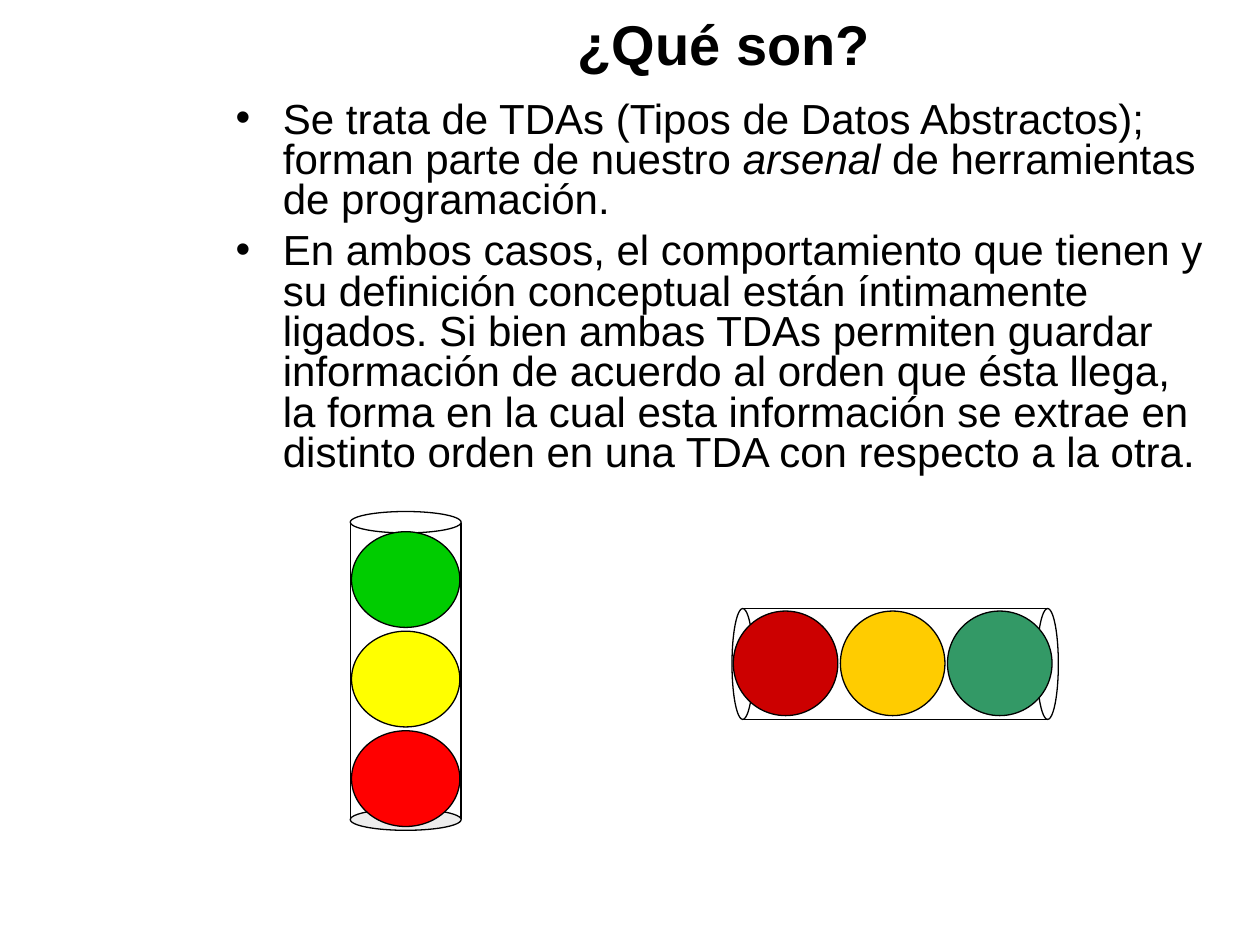
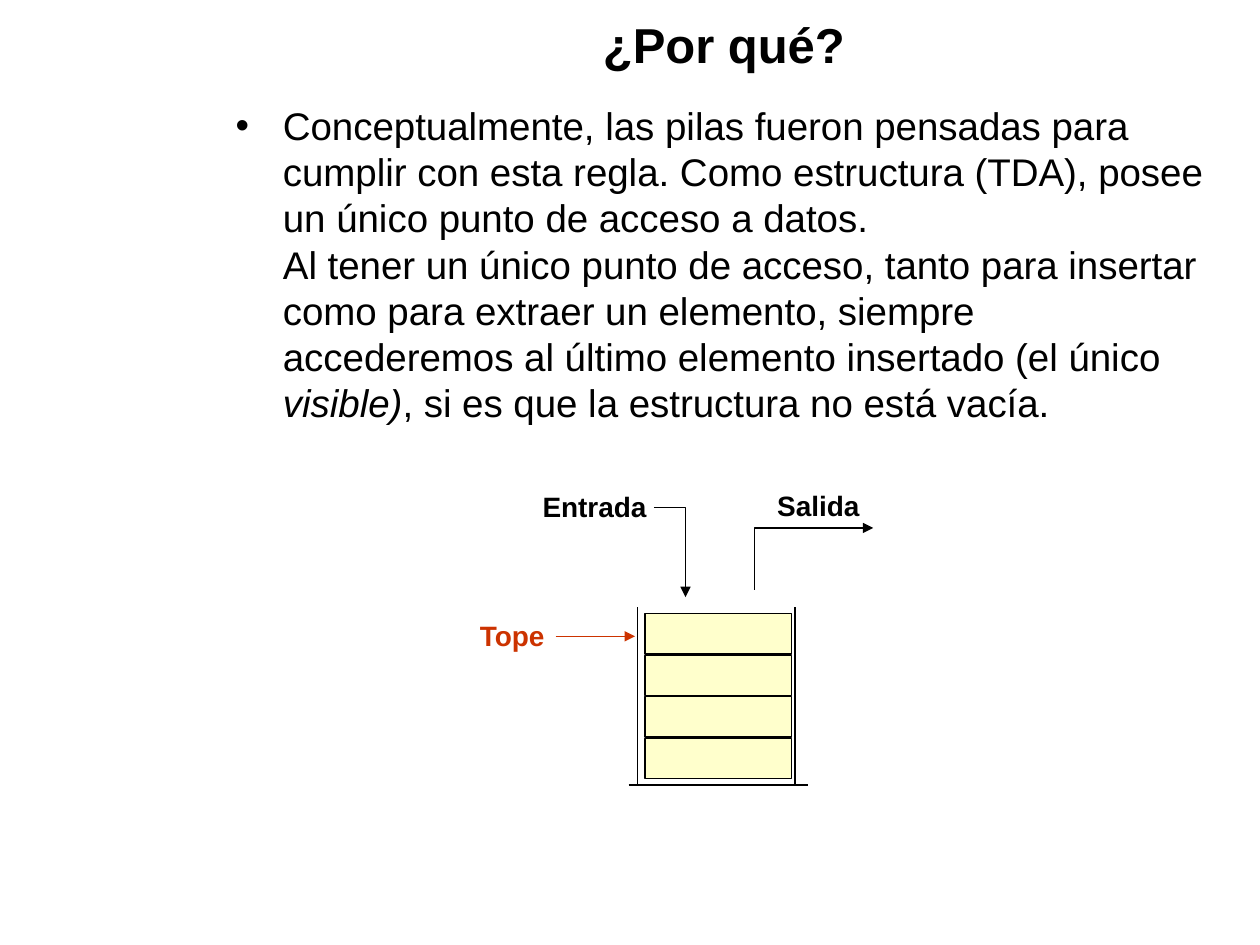
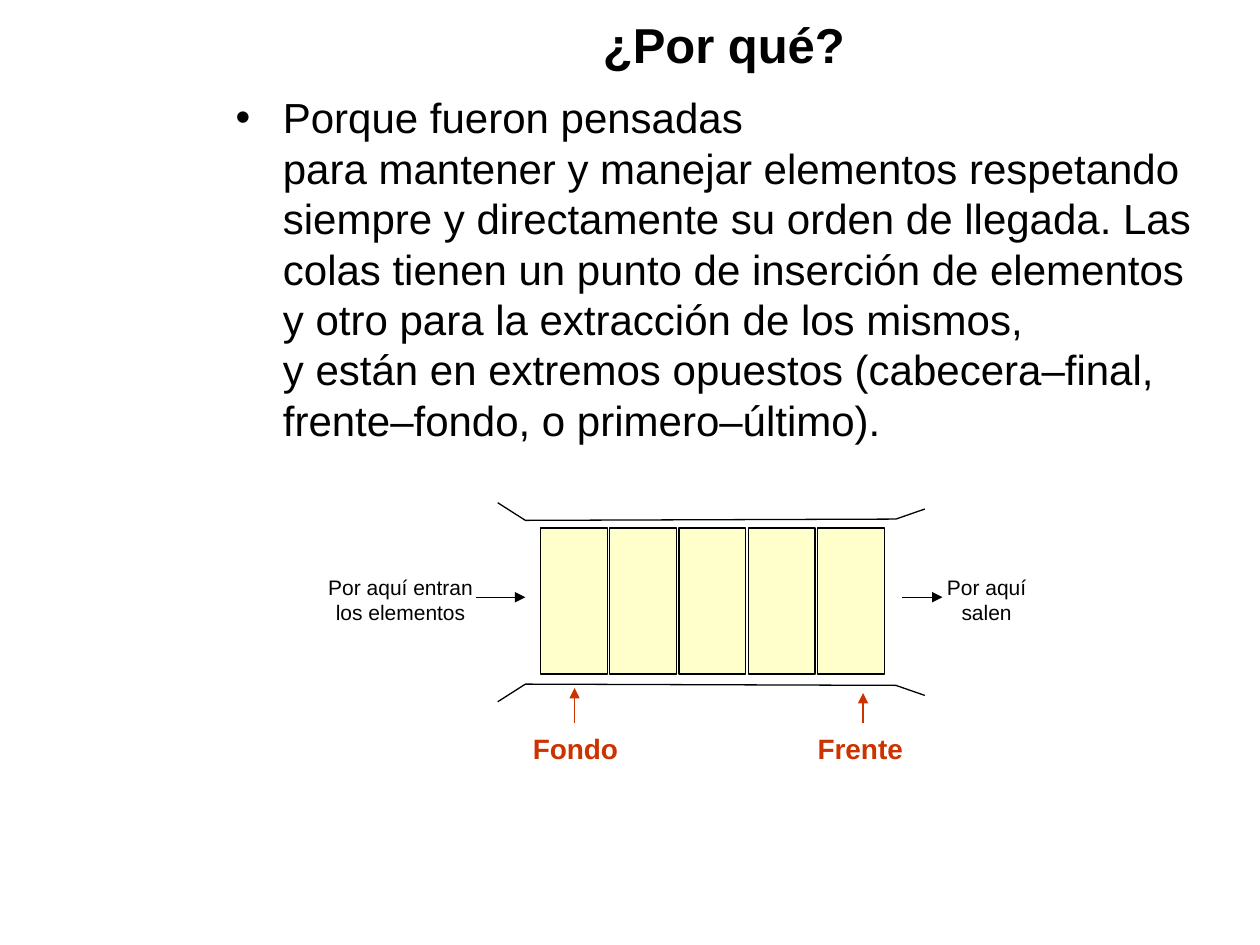
from pptx import Presentation
from pptx.dml.color import RGBColor
from pptx.enum.shapes import MSO_CONNECTOR as Connector, MSO_SHAPE as Shape
from pptx.enum.text import MSO_ANCHOR as Anchor, MSO_AUTO_SIZE as AutoSize, PP_ALIGN as Align
from pptx.oxml.ns import qn
from pptx.util import Inches, Pt
from lxml.etree import SubElement

COLORS = {
    "black": "000000",
    "accent": "CC3300",
    "cell": "FFFFCC",
    "silver": "C0C0C0",
    "green": "00CC00",
    "yellow": "FFFF00",
    "red": "FF0000",
    "dark red": "CC0000",
    "amber": "FFCC00",
    "sea green": "339966",
}


class Deck:
    font_name = "Arial"
    line_width = Pt(0.75)

    def __init__(self):
        self.presentation = Presentation()
        self.presentation.slide_width = Inches(10)
        self.presentation.slide_height = Inches(7.5)
        self.slide = None

    def color(self, name):
        return RGBColor.from_string(COLORS[name])

    def style_font(self, font, size, color="black", bold=False):
        font.name = self.font_name
        font.size = Pt(size)
        font.bold = bold
        font.color.rgb = self.color(color)

    def style_line(self, shape, color="black", arrow=False):
        shape.line.color.rgb = self.color(color)
        shape.line.width = self.line_width
        if arrow:
            SubElement(shape.line._get_or_add_ln(), qn("a:tailEnd"), type="triangle")

    def place(self, shape, left, top, width, height):
        shape.left, shape.top = Inches(left), Inches(top)
        shape.width, shape.height = Inches(width), Inches(height)

    def add_slide(self, title, size):
        self.slide = self.presentation.slides.add_slide(self.presentation.slide_layouts[1])
        shape = self.slide.shapes.title
        self.place(shape, 1.77, 0.07, 7.95, 0.55)
        text_frame = shape.text_frame
        text_frame.text = title
        text_frame.auto_size = AutoSize.NONE
        text_frame.vertical_anchor = Anchor.MIDDLE
        paragraph = text_frame.paragraphs[0]
        paragraph.alignment = Align.CENTER
        self.style_font(paragraph.runs[0].font, size, bold=True)

    def add_body(self, items, size, space_before, top=0.76, height=5.83, line_spacing=1.0):
        shape = self.slide.placeholders[1]
        self.place(shape, 1.77, top, 7.95, height)
        text_frame = shape.text_frame
        text_frame.auto_size = AutoSize.NONE
        for index, (before, emphasis, after) in enumerate(items):
            paragraph = text_frame.add_paragraph() if index else text_frame.paragraphs[0]
            paragraph.text = before
            paragraph.space_before = Pt(space_before)
            paragraph.line_spacing = line_spacing
            if emphasis:
                run = paragraph.add_run()
                run.text = emphasis
                run.font.italic = True
                paragraph.add_run().text = after
            for run in paragraph.runs:
                self.style_font(run.font, size)

    def add_shape(self, kind, left, top, width, height, fill=None, opacity=None):
        shape = self.slide.shapes.add_shape(
            kind, Inches(left), Inches(top), Inches(width), Inches(height))
        shape.shadow.inherit = False
        if fill:
            shape.fill.solid()
            shape.fill.fore_color.rgb = self.color(fill)
        else:
            shape.fill.background()
        if opacity:
            fill_color = shape.fill._xPr.find(qn("a:solidFill"))[0]
            SubElement(fill_color, qn("a:alpha"), val=str(opacity * 1000))
        self.style_line(shape)

    def add_line(self, start, end, color="black", arrow=False):
        points = [Inches(value) for value in (*start, *end)]
        connector = self.slide.shapes.add_connector(Connector.STRAIGHT, *points)
        self.style_line(connector, color, arrow)
        SubElement(connector._element.spPr, qn("a:effectLst"))

    def add_polyline(self, points, arrow=False):
        start, *rest = [(Inches(x), Inches(y)) for x, y in points]
        builder = self.slide.shapes.build_freeform(*start)
        builder.add_line_segments(rest, close=False)
        shape = builder.convert_to_shape()
        shape.shadow.inherit = False
        shape.fill.background()
        self.style_line(shape, arrow=arrow)

    def add_label(self, text, left, top, width, height=0.37, size=16, color="black",
                  bold=True, align=Align.LEFT, wrap=False):
        shape = self.slide.shapes.add_textbox(
            Inches(left), Inches(top), Inches(width), Inches(height))
        text_frame = shape.text_frame
        text_frame.text = text
        text_frame.word_wrap = wrap
        text_frame.auto_size = AutoSize.SHAPE_TO_FIT_TEXT
        paragraph = text_frame.paragraphs[0]
        paragraph.alignment = align
        self.style_font(paragraph.runs[0].font, size, color, bold)


def build_definition(deck):
    deck.add_slide("¿Qué son?", 32)
    deck.add_body([
        ("Se trata de TDAs (Tipos de Datos Abstractos); forman parte de nuestro ",
         "arsenal", " de herramientas de programación."),
        ("En ambos casos, el comportamiento que tienen y su definición conceptual están "
         "íntimamente ligados. Si bien ambas TDAs permiten guardar información de acuerdo "
         "al orden que ésta llega, la forma en la cual esta información se extrae en "
         "distinto orden en una TDA con respecto a la otra.", "", ""),
    ], 24, 6, line_spacing=0.8)

    for end_left in (5.81, 8.23):
        deck.add_shape(Shape.OVAL, end_left, 4.83, 0.17, 0.88)
    for side_y in (4.83, 5.71):
        deck.add_line((5.89, side_y), (8.31, side_y))

    deck.add_shape(Shape.OVAL, 2.78, 6.42, 0.88, 0.17, "silver", opacity=28)
    for side_x in (2.78, 3.66):
        deck.add_line((side_x, 4.15), (side_x, 6.5))
    deck.add_shape(Shape.OVAL, 2.78, 4.06, 0.88, 0.17)

    for index, fill in enumerate(("green", "yellow", "red")):
        deck.add_shape(Shape.OVAL, 2.79, 4.22 + 0.79 * index, 0.86, 0.76, fill)
    for index, fill in enumerate(("dark red", "amber", "sea green")):
        deck.add_shape(Shape.OVAL, 5.82 + 0.85 * index, 4.85, 0.83, 0.83, fill)


def build_stack(deck):
    deck.add_slide("¿Por qué?", 28)
    deck.add_body([
        ("Conceptualmente, las pilas fueron pensadas para cumplir con esta regla. Como "
         "estructura (TDA), posee un único punto de acceso a datos.\v"
         "Al tener un único punto de acceso, tanto para insertar como para extraer un "
         "elemento, siempre accederemos al último elemento insertado (el único ",
         "visible)", ", si es que la estructura no está vacía."),
    ], 22, 5.5)

    for index in range(4):
        deck.add_shape(Shape.RECTANGLE, 5.12, 4.87 + 0.33 * index, 1.16, 0.32, "cell")
    deck.add_polyline([(5.99, 4.68), (5.99, 4.19), (6.93, 4.19)], arrow=True)
    deck.add_polyline([(5.19, 4.03), (5.44, 4.03), (5.44, 4.74)], arrow=True)
    deck.add_label("Entrada", 4.17, 3.84, 1.06, align=Align.RIGHT)
    deck.add_label("Salida", 6.07, 3.83, 0.89)
    deck.add_line((4.41, 5.05), (5.04, 5.05), "accent", arrow=True)
    deck.add_label("Tope", 3.71, 4.86, 0.77, color="accent")
    for wall_x in (5.06, 6.31):
        deck.add_line((wall_x, 4.82), (wall_x, 6.23))
    deck.add_line((4.99, 6.23), (6.41, 6.23))


def build_queue(deck):
    deck.add_slide("¿Por qué?", 28)
    deck.add_body([
        ("Porque fueron pensadas\v"
         "para mantener y manejar elementos respetando siempre y directamente su orden de "
         "llegada. Las colas tienen un punto de inserción de elementos y otro para la "
         "extracción de los mismos,\v"
         "y están en extremos opuestos (cabecera–final, frente–fondo, o primero–último).",
         "", ""),
    ], 24, 6, top=0.68, height=4.02)

    for index in range(5):
        deck.add_shape(Shape.RECTANGLE, 4.29 + 0.55 * index, 4.19, 0.53, 1.16, "cell")
    for start_x, end_x in ((3.78, 4.17), (7.16, 7.48)):
        deck.add_line((start_x, 4.74), (end_x, 4.74), arrow=True)
    for text, left, width in (("Por aquí entran los elementos", 2.4, 1.56),
                              ("Por aquí salen", 7.34, 0.98)):
        deck.add_label(text, left, 4.51, width, 0.5, size=12, bold=False,
                       align=Align.CENTER, wrap=True)
    for text, left, arrow_x, tip_y in (("Fondo", 4.13, 4.56, 5.46),
                                       ("Frente", 6.39, 6.85, 5.5)):
        deck.add_line((arrow_x, 5.74), (arrow_x, tip_y), "accent", arrow=True)
        deck.add_label(text, left, 5.76, 0.92, color="accent")
    for wall_ys in ((5.57, 5.43, 5.44, 5.52), (3.99, 4.13, 4.12, 4.04)):
        deck.add_polyline(list(zip((3.95, 4.17, 7.11, 7.34), wall_ys)))


def main():
    deck = Deck()
    build_definition(deck)
    build_stack(deck)
    build_queue(deck)
    deck.presentation.save("out.pptx")


if __name__ == "__main__":
    main()
